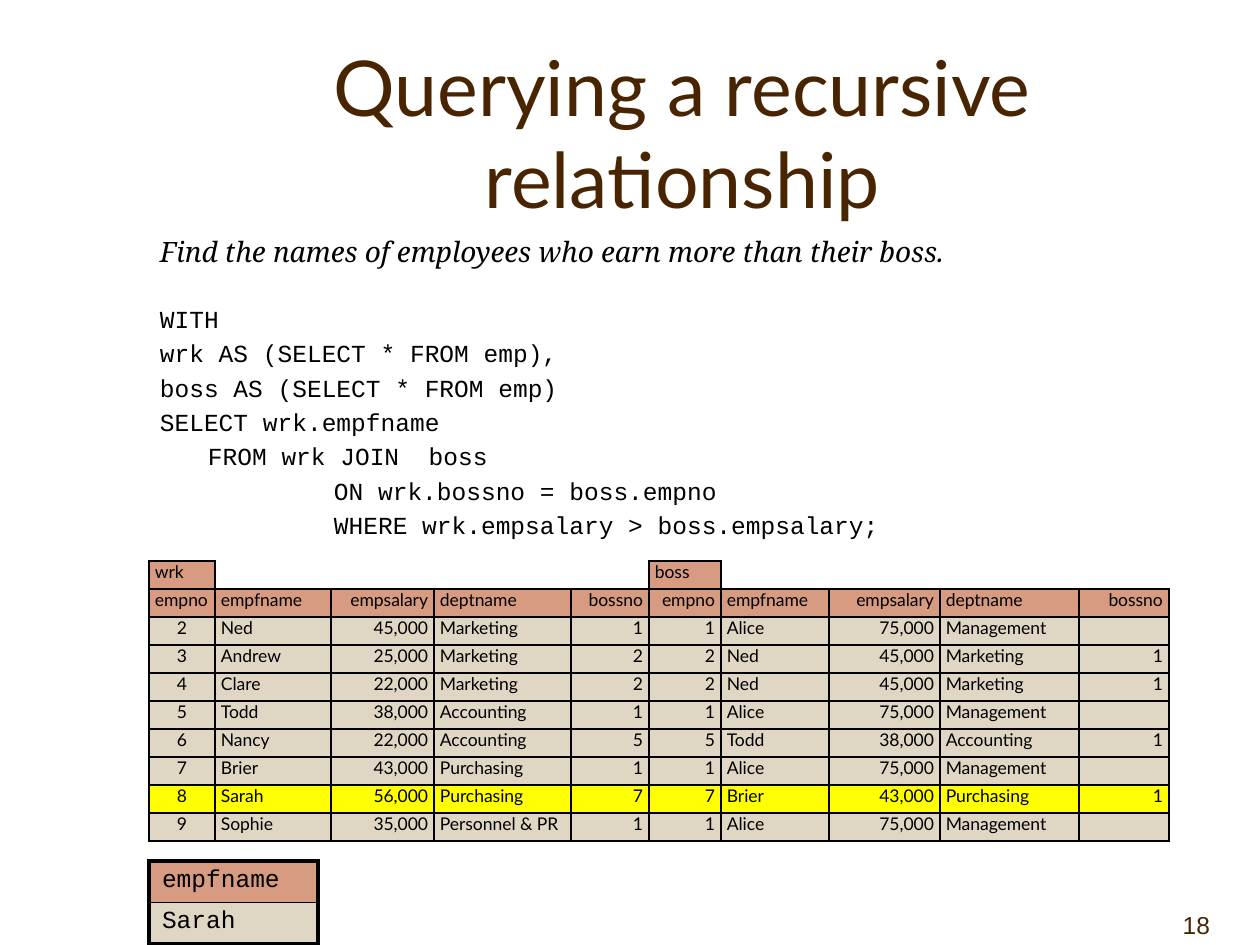
from lxml.etree import SubElement as Sub
from pptx import Presentation
from pptx.dml.color import RGBColor as Rgb
from pptx.enum.text import MSO_ANCHOR as Anchor, PP_ALIGN as Align
from pptx.oxml.ns import qn
from pptx.util import Pt

PX = 914400 // 126
INK = {"brown": "482400", "black": "000000", "clay": "D69B80",
       "sand": "DFD6C3", "yellow": "FFFF00"}
L, C, R, J = Align.LEFT, Align.CENTER, Align.RIGHT, Align.JUSTIFY


def write(box, lines, font="Lato", size=10, ink="black", align=L,
          anchor=Anchor.TOP, italic=False, before=0, after=0, space=None,
          pad=(13, 6, 13, 6), fresh=True):
    frame = getattr(box, "text_frame", box)
    frame.word_wrap = True
    box.vertical_anchor = anchor
    (box.margin_left, box.margin_top,
     box.margin_right, box.margin_bottom) = [n * PX for n in pad]
    for i, (text, left) in enumerate(lines):
        para = frame.paragraphs[0] if fresh and i == 0 else frame.add_paragraph()
        para.alignment = align
        para.space_before = Pt(before if i or fresh else 20.5)
        para.space_after = Pt(after)
        para.line_spacing = space
        if left:
            para._p.get_or_add_pPr().set("marL", str(left * PX))
        if not text:
            para._p.get_or_add_endParaRPr().set("sz", str(size * 100))
            continue
        run = para.add_run()
        run.text = text
        run.font.name = font
        run.font.size = Pt(size)
        run.font.italic = italic
        run.font.color.rgb = Rgb.from_string(INK[ink])


def paint(cell, fill, **edges):
    props = cell._tc.get_or_add_tcPr()
    for side in "LRTB":
        wide = edges.get(side, 0)
        line = Sub(props, qn("a:ln" + side), w=str(int(wide * 12700)))
        if wide:
            solid = Sub(line, qn("a:solidFill"))
            Sub(solid, qn("a:srgbClr"), val=INK["black"])
        else:
            Sub(line, qn("a:noFill"))
    if fill:
        cell.fill.solid()
        cell.fill.fore_color.rgb = Rgb.from_string(INK[fill])
    else:
        cell.fill.background()


deck = Presentation()
deck.slide_width, deck.slide_height = 1260 * PX, 945 * PX
slide = deck.slides.add_slide(deck.slide_layouts[6])
shapes = slide.shapes

num = shapes.add_textbox(1134 * PX, 882 * PX, 126 * PX, 63 * PX).text_frame
write(num, [("18", 0)], font="Arial", size=14, ink="brown", align=R,
      anchor=Anchor.BOTTOM, pad=(13, 6, 50, 6))

title = shapes.add_textbox(147 * PX, 53 * PX, 1071 * PX, 157 * PX).text_frame
write(title, [("Querying a recursive relationship", 0)], size=44,
      ink="brown", align=C, anchor=Anchor.MIDDLE)

body = shapes.add_textbox(147 * PX, 232 * PX, 1071 * PX, 217 * PX).text_frame
write(body, [("Find the names of employees who earn more than their boss.", 0)],
      font="Noto Serif", size=16, italic=True, space=0.9)
query = [("WITH", 0),
         ("wrk AS (SELECT * FROM emp),", 0),
         ("boss AS (SELECT * FROM emp)", 0),
         ("SELECT wrk.empfname", 0),
         ("FROM wrk JOIN  boss", 48),
         ("ON wrk.bossno = boss.empno", 174),
         ("WHERE wrk.empsalary > boss.empsalary;", 174)]
write(body, query, font="Courier New", size=14, before=2.8, fresh=False)

head = ["empno", "empfname", "empsalary", "deptname", "bossno"]
staff = [["1", "Alice", "75,000", "Management", ""],
         ["2", "Ned", "45,000", "Marketing", "1"],
         ["3", "Andrew", "25,000", "Marketing", "2"],
         ["4", "Clare", "22,000", "Marketing", "2"],
         ["5", "Todd", "38,000", "Accounting", "1"],
         ["6", "Nancy", "22,000", "Accounting", "5"],
         ["7", "Brier", "43,000", "Purchasing", "1"],
         ["8", "Sarah", "56,000", "Purchasing", "7"],
         ["9", "Sophie", "35,000", "Personnel & PR", "1"]]
boss = {man[0]: man for man in staff}
rows = [(head + head, "clay")]
for man in staff[1:]:
    chief = boss[man[4]]
    rows.append((man + chief, "yellow" if man[2] > chief[2] else "sand"))

wides = [66, 116, 103, 13, 124, 78, 72, 108, 111, 24, 115, 90]
spots = [0, 1, 2, 3, 5, 6, 7, 8, 9, 11]
sides = [C, J, R, J, R, R, J, R, J, R]
cellpad = (6, 0, 6, 0)

join = shapes.add_table(10, 12, 149 * PX, 561 * PX, sum(wides) * PX, 280 * PX).table
pick = shapes.add_table(2, 1, 149 * PX, 861 * PX, 169 * PX, 80 * PX).table
for grid, high in ((join, 28), (pick, 40)):
    grid.first_row = grid.horz_banding = False
    grid._tbl.tblPr.find(qn("a:tableStyleId")).text = "{2D5ABB26-0587-4C30-8999-92F81FD0307C}"
    for row in grid.rows:
        row.height = high * PX
for col, wide in zip(join.columns, wides):
    col.width = wide * PX

tags = {0: "wrk", 6: "boss"}
for c in range(12):
    cell = join.cell(0, c)
    edge = 1 if c in tags else 0
    paint(cell, "clay" if edge else None, T=edge, B=1,
          L=int(c in (0, 1, 6, 7)), R=int(c in (0, 5, 6)))
    write(cell, [(tags.get(c, ""), 0)], align=J,
          before=3, after=3, pad=cellpad)
for c in (2, 8):
    join.cell(0, c).merge(join.cell(0, c + 1))

for r, (texts, fill) in enumerate(rows, 1):
    for c in range(12):
        paint(join.cell(r, c), fill, L=1, R=1, T=1, B=1)
    for c in (3, 9):
        join.cell(r, c).merge(join.cell(r, c + 1))
    for text, c, side in zip(texts, spots, sides):
        if (text, c) == ("empno", 0) or text == "Personnel & PR":
            side = L
        write(join.cell(r, c), [(text, 0)], before=3, after=3,
              align=side, pad=cellpad)

for r, (text, fill) in enumerate([("empfname", "clay"), ("Sarah", "sand")]):
    cell = pick.cell(r, 0)
    paint(cell, fill, L=2.25, R=2.25, T=1 if r else 2.25, B=2.25 if r else 1)
    write(cell, [(text, 0)], font="Courier New", size=14, before=2)

deck.save("out.pptx")
